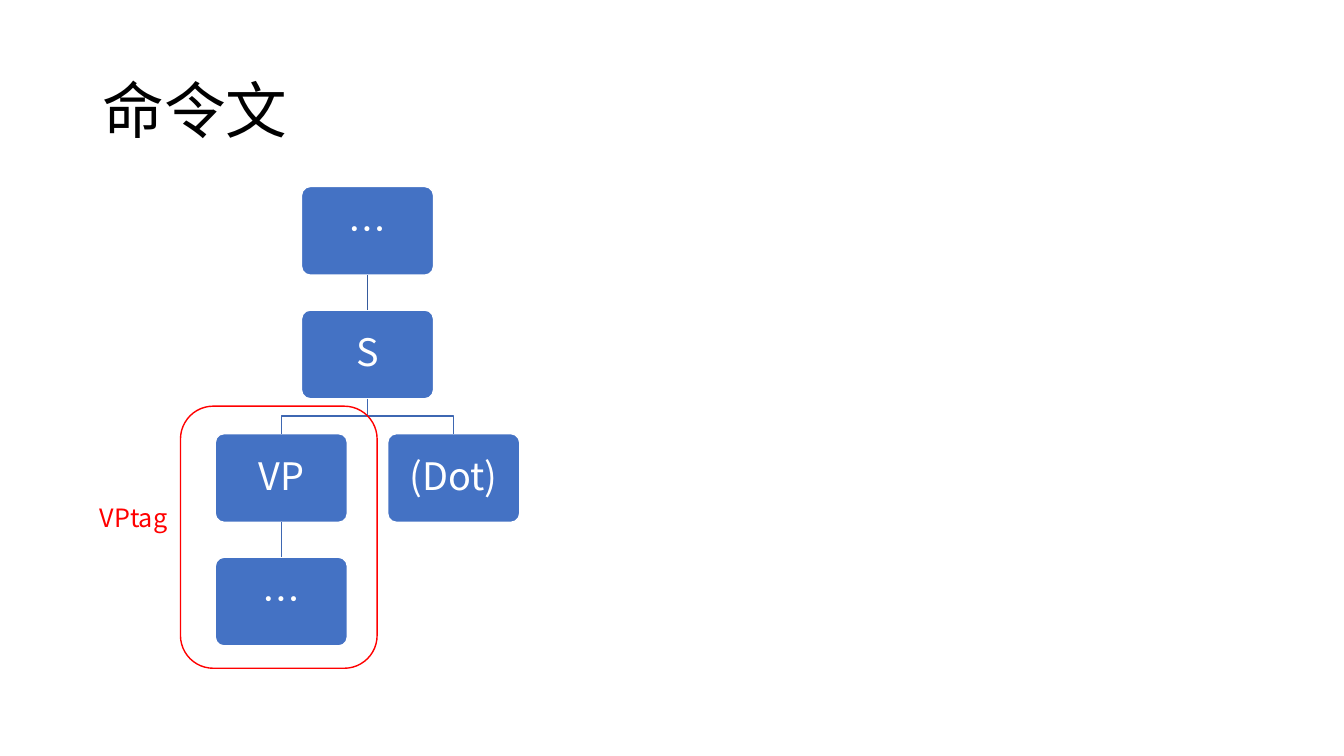
from pptx import Presentation
from pptx.dml.color import RGBColor
from pptx.enum.shapes import MSO_CONNECTOR, MSO_SHAPE
from pptx.enum.text import MSO_ANCHOR, PP_ALIGN
from pptx.oxml.ns import qn
from pptx.util import Inches, Pt
from lxml import etree

ROUND = MSO_SHAPE.ROUNDED_RECTANGLE
STRAIGHT = MSO_CONNECTOR.STRAIGHT
MIDDLE = MSO_ANCHOR.MIDDLE
LEFT, CENTER = PP_ALIGN.LEFT, PP_ALIGN.CENTER

THEME = {
    "font": "Noto Sans CJK JP",
    "title": 44, "node": 27, "tag": 18,
    "black": RGBColor(0x00, 0x00, 0x00),
    "white": RGBColor(0xFF, 0xFF, 0xFF),
    "blue": RGBColor(0x44, 0x72, 0xC4),
    "stem": RGBColor(0x36, 0x5B, 0x9D),
    "branch": RGBColor(0x3E, 0x67, 0xB2),
    "red": RGBColor(0xFF, 0x00, 0x00),
}


def write(shape, text, size, color, align, spacing=1.0):
    frame = shape.text_frame
    frame.text = text
    frame.vertical_anchor = MIDDLE
    para = frame.paragraphs[0]
    para.alignment = align
    para.line_spacing = spacing
    run = para.runs[0]
    run.font.size = Pt(THEME[size])
    run.font.color.rgb = THEME[color]
    run.font.name = THEME["font"]
    east = etree.SubElement(run.font._element, qn("a:ea"))
    east.set("typeface", THEME["font"])
    return frame


def outline(shape, color):
    shape.shadow.inherit = False
    shape.line.color.rgb = THEME[color]
    shape.line.width = Pt(1)


prs = Presentation()
prs.slide_width, prs.slide_height = Inches(13.33), Inches(7.5)
slide = prs.slides.add_slide(prs.slide_layouts[6])
shapes = slide.shapes

# Tree grid: columns are node centres, rows are node tops
WIDE, HIGH = Inches(1.31), Inches(0.88)
COL, ROW = Inches(0.855), Inches(1.226)
MID, TOP = Inches(3.645), Inches(1.85)

# Tree nodes: name, text, column, row
NODES = [
    ("root", "…", 0, 0),
    ("S", "S", 0, 1),
    ("VP", "VP", -1, 2),
    ("leaf", "…", -1, 3),
    ("Dot", "(Dot)", 1, 2),
]
tree = {}
for name, text, col, row in NODES:
    node = shapes.add_shape(ROUND, MID + col * COL - WIDE // 2,
                            TOP + row * ROW, WIDE, HIGH)
    node.adjustments[0] = 0.1
    node.fill.solid()
    node.fill.fore_color.rgb = THEME["blue"]
    outline(node, "white")
    frame = write(node, text, "node", "white", CENTER, 0.9)
    frame.word_wrap = True
    frame.margin_left = frame.margin_right = Inches(0.11)
    frame.margin_top = frame.margin_bottom = Inches(0.11)
    tree[name] = node

# Straight links
for upper, lower, color in [("root", "S", "stem"), ("VP", "leaf", "branch")]:
    link = shapes.add_connector(STRAIGHT, 0, 0, 0, 0)
    link.begin_connect(tree[upper], 2)
    link.end_connect(tree[lower], 0)
    link.line.color.rgb = THEME[color]
    link.line.width = Pt(1)
    etree.SubElement(link._element.spPr, qn("a:effectLst"))

# Forked links below S
start = tree["S"].top + HIGH
end = tree["VP"].top
bend = (start + end) // 2
for side in (-1, 1):
    foot = MID + side * COL
    pen = shapes.build_freeform(MID, start)
    pen.add_line_segments([(MID, bend), (foot, bend), (foot, end)], close=False)
    fork = pen.convert_to_shape()
    fork.fill.background()
    outline(fork, "branch")

# Title
title = shapes.add_textbox(Inches(0.92), Inches(0.4), Inches(11.5), Inches(1.45))
write(title, "命令文", "title", "black", LEFT, 0.9).word_wrap = True

# Red frame around the verb phrase
ring = shapes.add_shape(ROUND, Inches(1.79), Inches(4.03), Inches(1.95), Inches(2.6))
ring.fill.background()
outline(ring, "red")

# Frame label
tag = shapes.add_textbox(Inches(0.89), Inches(4.93), Inches(0.9), Inches(0.4))
write(tag, "VPtag", "tag", "red", LEFT).word_wrap = False

prs.save("out.pptx")
